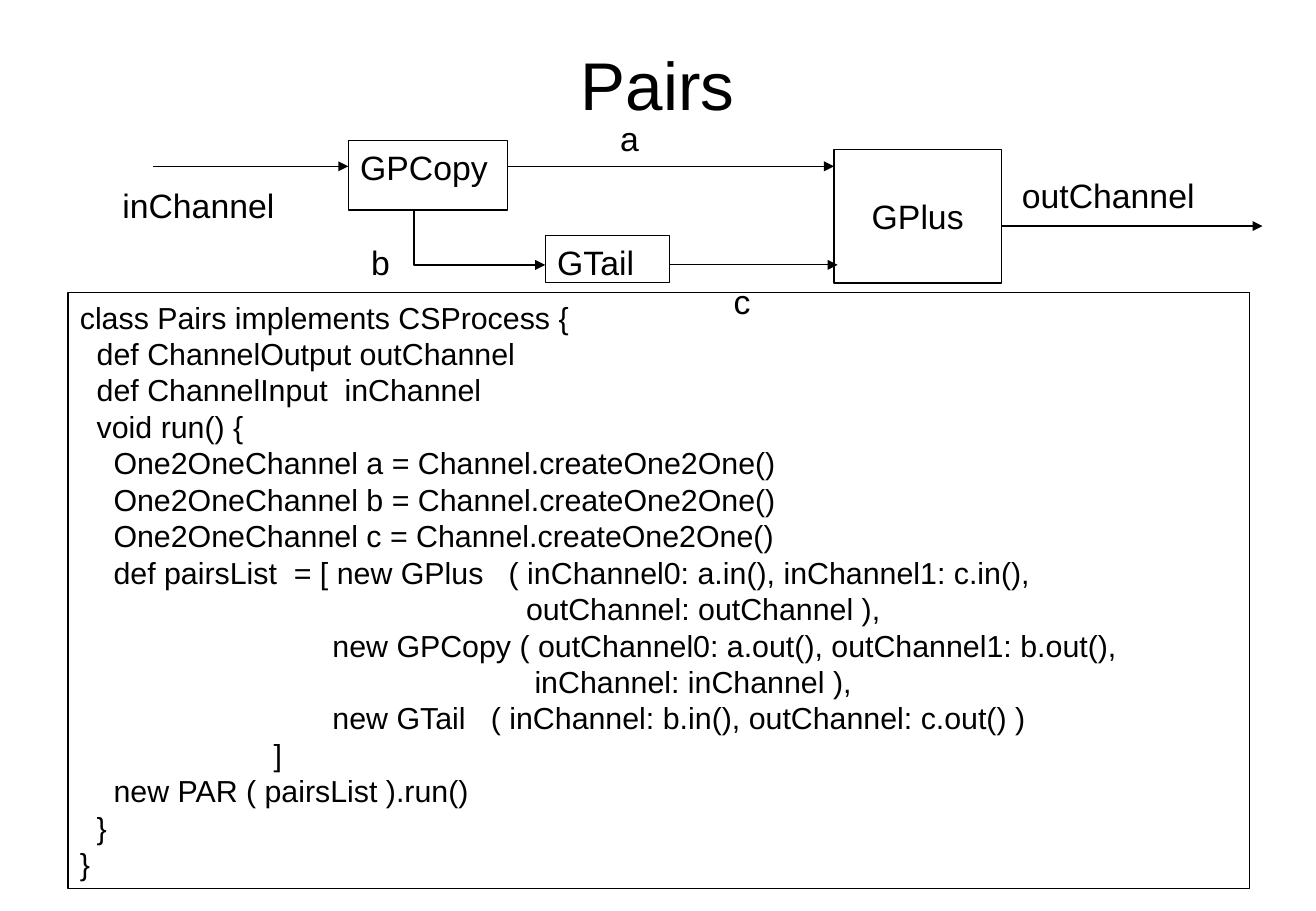
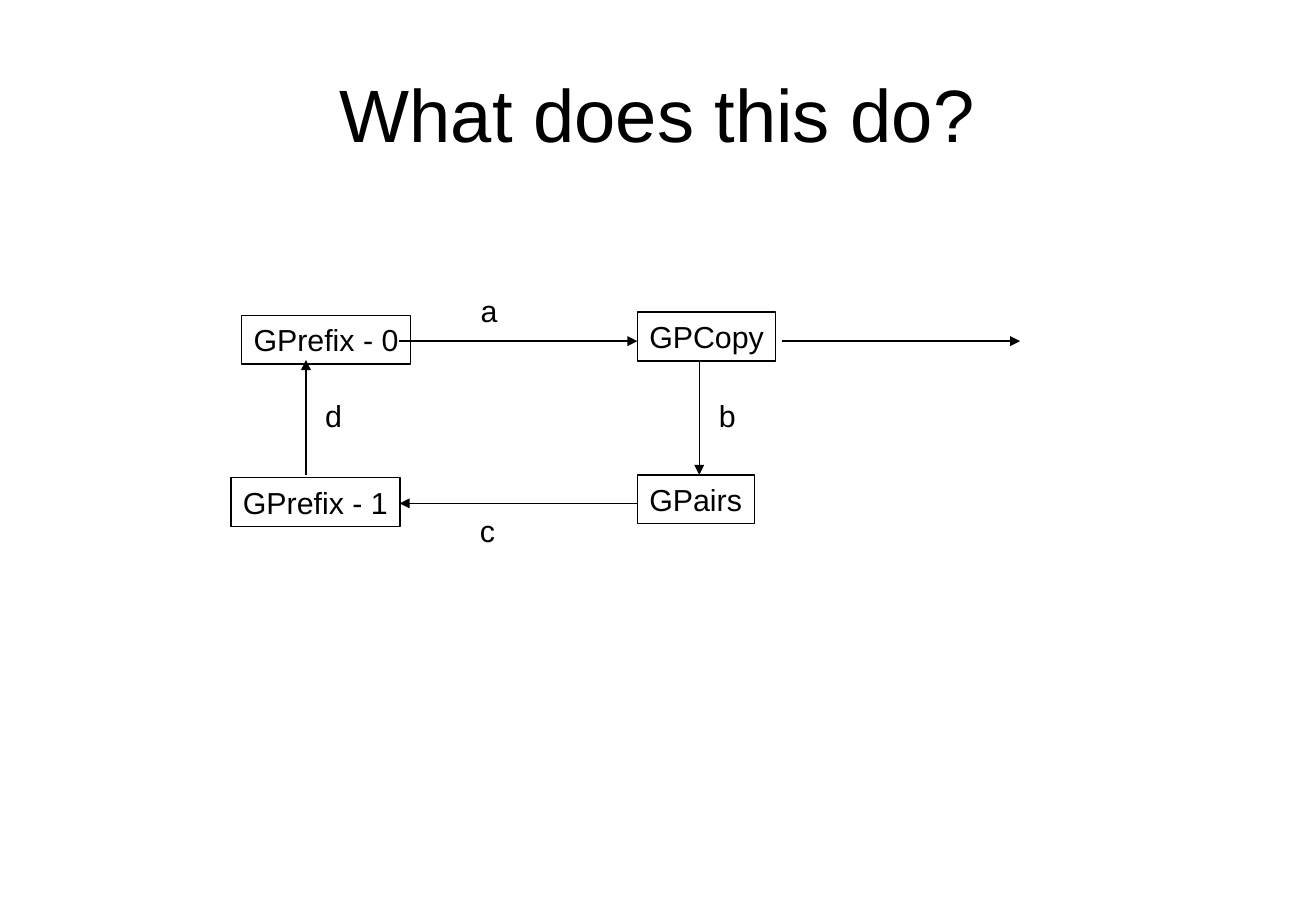
from lxml import etree
from pptx import Presentation
from pptx.dml import color
from pptx.enum import shapes, text
from pptx.oxml import ns
from pptx.util import Pt

HUES = {"ink": "000000", "page": "FFFFFF"}
FONT = "Arial"
LEFT, MID = text.PP_ALIGN.LEFT, text.PP_ALIGN.CENTER

CODE = """class Pairs implements CSProcess {
  def ChannelOutput outChannel
  def ChannelInput  inChannel
  void run() {
    One2OneChannel a = Channel.createOne2One()
    One2OneChannel b = Channel.createOne2One()
    One2OneChannel c = Channel.createOne2One()
    def pairsList  = [ new GPlus   ( inChannel0: a.in(), inChannel1: c.in(),
                                                     outChannel: outChannel ),
                              new GPCopy ( outChannel0: a.out(), outChannel1: b.out(),
                                                      inChannel: inChannel ),
                              new GTail   ( inChannel: b.in(), outChannel: c.out() )
                       ]
    new PAR ( pairsList ).run()
  }
}"""


class Deck:
    """Draws process diagrams in one plain style, with lengths in points."""

    def __init__(self):
        self.prs = Presentation()
        self.prs.slide_width, self.prs.slide_height = Pt(780.48), Pt(540)

    def page(self, title, height, head, size, wrap):
        self.slide = self.prs.slides.add_slide(self.prs.slide_layouts[6])
        self.size, self.wrap = size, wrap
        area = self.slide.shapes.add_textbox(Pt(39), Pt(21.6), Pt(702), Pt(height))
        self.words(area, title, head, MID, True, True)

    def hue(self, name):
        return color.RGBColor.from_string(HUES[name])

    def words(self, shape, words, size, align, wrap, centre=False):
        frame = shape.text_frame
        frame.word_wrap = wrap
        frame.vertical_anchor = text.MSO_ANCHOR.MIDDLE if centre else text.MSO_ANCHOR.TOP
        frame.text = words
        for para in frame.paragraphs:
            para.alignment = align
            para.font.name, para.font.size = FONT, Pt(size)
            para.font.color.rgb = self.hue("ink")

    def ink(self, shape):
        shape.line.color.rgb = self.hue("ink")
        shape.line.width = Pt(0.75)

    def tip(self, shape):
        self.ink(shape)
        ends = shape._element.spPr.find(ns.qn("a:ln"))
        etree.SubElement(ends, ns.qn("a:tailEnd"), type="triangle")

    def box(self, words, x, y, w, h, size=None, align=LEFT, fill=False):
        shape = self.slide.shapes.add_shape(
            shapes.MSO_SHAPE.RECTANGLE, Pt(x), Pt(y), Pt(w), Pt(h))
        shape.shadow.inherit = False
        if fill:
            shape.fill.solid()
            shape.fill.fore_color.rgb = self.hue("page")
        else:
            shape.fill.background()
        self.ink(shape)
        self.words(shape, words, size or self.size, align, self.wrap, align == MID)

    def label(self, words, x, y, w=24.5, h=29):
        area = self.slide.shapes.add_textbox(Pt(x), Pt(y), Pt(w), Pt(h))
        self.words(area, words, self.size, LEFT, self.wrap)

    def arrow(self, x1, y1, x2, y2):
        line = self.slide.shapes.add_connector(
            shapes.MSO_CONNECTOR.STRAIGHT, Pt(x1), Pt(y1), Pt(x2), Pt(y2))
        self.tip(line)
        etree.SubElement(line._element.spPr, ns.qn("a:effectLst"))

    def bend(self, start, *rest):
        form = self.slide.shapes.build_freeform(Pt(start[0]), Pt(start[1]))
        form.add_line_segments([(Pt(x), Pt(y)) for x, y in rest], close=False)
        shape = form.convert_to_shape()
        shape.shadow.inherit = False
        shape.fill.background()
        self.tip(shape)


def pairs(deck):
    deck.page("Pairs", 55.4, 40, 20, True)
    deck.box("GPCopy", 206.6, 83.5, 94.4, 41, fill=True)
    deck.box("GPlus", 494.6, 88.6, 99.4, 79.2, align=MID, fill=True)
    deck.box("GTail", 323.4, 139.7, 73.6, 28, fill=True)
    for x1, x2, y in ((90.7, 206.6, 98.6), (301, 494.6, 98.6),
                      (594, 748.8, 134), (397, 496.8, 157)):
        deck.arrow(x1, y, x2, y)
    deck.bend((245.5, 124.5), (245.5, 157), (323.4, 157))
    deck.label("a", 360.7, 66.2, 29)
    deck.label("outChannel", 599, 100, 143)
    deck.label("inChannel", 65.5, 106, 127)
    deck.label("b", 213, 139.7, 30)
    deck.label("c", 428, 162.7, 39)
    deck.box(CODE, 40.3, 173.5, 700.6, 353, size=18)


def puzzle(deck):
    deck.page("What does this do?", 90, 44, 18, False)
    for words, x, y, w in (("GPrefix - 0", 143.3, 186.8, 100.2),
                           ("GPrefix - 1", 137, 283.2, 100.2),
                           ("GPCopy", 378, 185, 82.2),
                           ("GPairs", 378, 281.5, 69.4)):
        deck.box(words, x, y, w, 29)
    for ends in ((181.5, 281.5, 181.5, 213.4), (414.7, 213.4, 414.7, 281.5),
                 (236.5, 202.2, 378, 202.2), (378, 298.4, 237, 298.4),
                 (463.7, 202.2, 605, 202.2)):
        deck.arrow(*ends)
    for words, x, y in (("a", 278, 169.4), ("b", 419.3, 232),
                        ("c", 277.5, 299.8), ("d", 185.8, 232)):
        deck.label(words, x, y)


def main():
    deck = Deck()
    pairs(deck)
    puzzle(deck)
    deck.prs.save("out.pptx")


if __name__ == "__main__":
    main()
